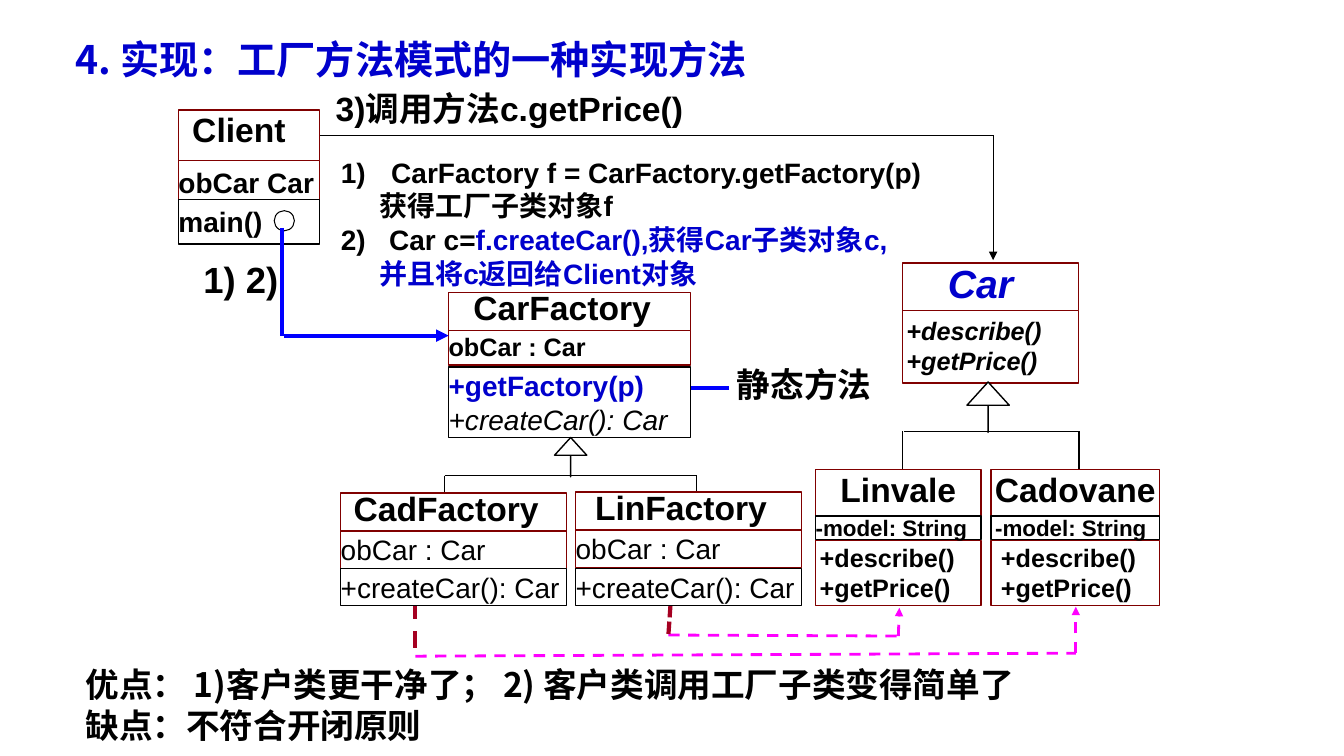
from dataclasses import dataclass, field

from lxml.etree import SubElement
from pptx import Presentation
from pptx.dml.color import RGBColor
from pptx.enum.dml import MSO_LINE
from pptx.enum.shapes import MSO_CONNECTOR, MSO_SHAPE
from pptx.enum.text import MSO_ANCHOR, PP_ALIGN
from pptx.oxml.ns import qn
from pptx.util import Inches, Pt


@dataclass(frozen=True)
class Theme:
    latin: str = "Arial"
    chinese: str = "Noto Sans CJK SC"
    black: str = "000000"
    white: str = "FFFFFF"
    navy: str = "0000CC"
    blue: str = "0000FF"
    maroon: str = "800000"
    crimson: str = "A50021"
    magenta: str = "FF00FF"
    title: int = 28
    step: int = 26
    heading: int = 24
    body: int = 20
    member: int = 18
    small: int = 16


THEME = Theme()


@dataclass(frozen=True)
class Line:
    text: str
    style: dict = field(default_factory=dict)


@dataclass(frozen=True)
class Compartment:
    top: float
    height: float
    lines: list[Line]
    border: str = THEME.maroon
    insets: tuple = (0, 0.01, 0, 0.01)
    middle: bool = False


@dataclass(frozen=True)
class UmlClass:
    left: float
    width: float
    compartments: list[Compartment]


@dataclass(frozen=True)
class Link:
    start: tuple
    end: tuple
    color: str = THEME.black
    weight: float = 1
    dash: MSO_LINE | None = None
    head: str = ""


@dataclass(frozen=True)
class Label:
    area: tuple
    lines: list[Line]
    insets: tuple = (0.1, 0.05, 0.1, 0.05)


def line(text: str, **style) -> Line:
    return Line(text, style)


def heading(text: str, **style) -> Line:
    return line(text, **{"size": THEME.heading, "centered": True, "spacing": 0.85, **style})


def member(text: str, **style) -> Line:
    return line(text, **{"size": THEME.member, **style})


def write(frame, text: str, *, size: float = THEME.body, color: str = THEME.black,
          bold: bool = True, italic: bool = False, font: str = THEME.latin,
          centered: bool = False, spacing: float = 1, margin: float = 0,
          hanging: float = 0, numbered: bool = False, joined: bool = False) -> None:
    para = frame.paragraphs[-1]
    if not joined:
        if para.runs:
            para = frame.add_paragraph()
        para.alignment = PP_ALIGN.CENTER if centered else PP_ALIGN.LEFT
        para.line_spacing = spacing
        properties = para._p.get_or_add_pPr()
        properties.set("marL", str(Inches(margin)))
        properties.set("indent", str(Inches(-hanging)))
        if numbered:
            SubElement(properties, qn("a:buFont"), typeface=THEME.latin)
            SubElement(properties, qn("a:buAutoNum"), type="arabicParenR")
    span = para.add_run()
    span.text = text
    span.font.size = Pt(size)
    span.font.bold = bold
    span.font.italic = italic
    span.font.color.rgb = RGBColor.from_string(color)
    span.font.name = font
    SubElement(span._r.get_or_add_rPr(), qn("a:ea"), typeface=THEME.chinese)


def fill_text(box, lines: list[Line], insets: tuple, middle: bool = False) -> None:
    frame = box.text_frame
    frame.word_wrap = True
    frame.vertical_anchor = MSO_ANCHOR.MIDDLE if middle else MSO_ANCHOR.TOP
    frame.margin_left, frame.margin_top, frame.margin_right, frame.margin_bottom = map(Inches, insets)
    for entry in lines:
        write(frame, entry.text, **entry.style)


def draw_shape(slide, kind: MSO_SHAPE, area: tuple, border: str, weight: float = 1):
    shape = slide.shapes.add_shape(kind, *map(Inches, area))
    shape.shadow.inherit = False
    shape.fill.solid()
    shape.fill.fore_color.rgb = RGBColor.from_string(THEME.white)
    shape.line.color.rgb = RGBColor.from_string(border)
    shape.line.width = Pt(weight)
    return shape


def draw_class(slide, uml: UmlClass) -> None:
    for part in uml.compartments:
        area = (uml.left, part.top, uml.width, part.height)
        box = draw_shape(slide, MSO_SHAPE.RECTANGLE, area, part.border)
        fill_text(box, part.lines, part.insets, part.middle)


def draw_inheritance(slide, area: tuple) -> None:
    arrow = draw_shape(slide, MSO_SHAPE.UP_ARROW, area, THEME.black)
    arrow.adjustments[0] = 0
    arrow.adjustments[1] = 0.55


def draw_link(slide, link: Link) -> None:
    connector = slide.shapes.add_connector(
        MSO_CONNECTOR.STRAIGHT, *map(Inches, link.start + link.end))
    connector.line.color.rgb = RGBColor.from_string(link.color)
    connector.line.width = Pt(link.weight)
    if link.dash:
        connector.line.dash_style = link.dash
    if link.head:
        SubElement(connector.line._get_or_add_ln(), qn("a:tailEnd"), type=link.head)
    SubElement(connector._element.spPr, qn("a:effectLst"))


def draw_label(slide, label: Label) -> None:
    fill_text(slide.shapes.add_textbox(*map(Inches, label.area)), label.lines, label.insets)


def factory(name: str, left: float, top: float) -> UmlClass:
    return UmlClass(left, 2.24, [
        Compartment(top, 0.38, [heading(name)], insets=(0, 0.01, 0.15, 0.01)),
        Compartment(top + 0.38, 0.37, [line("obCar : Car", bold=False)]),
        Compartment(5.64, 0.37, [line("+createCar(): Car", bold=False)], THEME.black, middle=True),
    ])


def car_model(name: str, left: float, width: float, model_inset: float, inset: float) -> UmlClass:
    return UmlClass(left, width, [
        Compartment(4.66, 0.46, [heading(name)], insets=(0, 0.05, 0, 0.05)),
        Compartment(5.36, 0.65, [member("+describe()"), member("+getPrice()")],
                    insets=(inset, 0.02, 0, 0.02)),
        Compartment(5.12, 0.23, [line("-model: String", size=THEME.small)], THEME.black,
                    (model_inset, 0.05, 0, 0.05), True),
    ])


CLASSES = [
    UmlClass(8.95, 1.75, [
        Compartment(2.61, 0.47, [heading("Car", size=THEME.title, color=THEME.navy, italic=True,
                                         spacing=0.8)], insets=(0.1, 0.05, 0.3, 0.05)),
        Compartment(3.08, 0.72, [member("+describe()", italic=True), member("+getPrice()", italic=True)],
                    insets=(0.04, 0.05, 0.1, 0.05)),
    ]),
    car_model("Linvale", 8.09, 1.64, 0, 0.04),
    car_model("Cadovane", 9.83, 1.67, 0.04, 0.1),
    UmlClass(1.77, 1.4, [
        Compartment(1.09, 0.5, [heading("Client")], insets=(0, 0.05, 0.2, 0.05)),
        Compartment(1.59, 0.39, [line("obCar Car")], insets=(0, 0.05, 0, 0.05)),
        Compartment(1.98, 0.44, [line("main()")], THEME.black, (0, 0.05, 0, 0.05), True),
    ]),
    UmlClass(4.45, 2.4, [
        Compartment(2.9, 0.38, [heading("CarFactory")], insets=(0, 0.01, 0.15, 0.01)),
        Compartment(3.28, 0.34, [member("obCar : Car")]),
        Compartment(3.64, 0.7, [line("+getFactory(p)", color=THEME.navy),
                                line("+createCar(): Car", bold=False, italic=True)],
                    THEME.black, middle=True),
    ]),
    factory("CadFactory", 3.38, 4.89),
    factory("LinFactory", 5.71, 4.88),
]

LINKS_BEHIND = [
    Link((8.97, 4.28), (10.71, 4.28)),
    *(Link((x, 4.28), (x, 4.66)) for x in (8.95, 10.7)),
    Link((4.41, 4.72), (6.91, 4.72)),
    *(Link((x, 4.72), (x, 5.1)) for x in (4.41, 6.91)),
    Link((10.67, 6.48), (10.67, 6.02), THEME.magenta, 2, MSO_LINE.DASH, "triangle"),
    Link((4.12, 6.51), (10.67, 6.48), THEME.magenta, 2, MSO_LINE.DASH),
    Link((4.12, 5.68), (4.12, 6.53), THEME.crimson, 3, MSO_LINE.DASH),
    Link((8.91, 6.31), (8.92, 6.03), THEME.magenta, 2, MSO_LINE.DASH, "triangle"),
    Link((6.63, 6.3), (8.92, 6.31), THEME.magenta, 2, MSO_LINE.DASH),
    Link((6.65, 6), (6.63, 6.29), THEME.crimson, 3, MSO_LINE.SQUARE_DOT),
    Link((7.23, 3.85), (6.62, 3.85), THEME.blue, 3, head="arrow"),
    Link((3.17, 1.34), (9.86, 1.34), weight=0.75),
    Link((9.85, 1.34), (9.85, 2.58), weight=0.75, head="triangle"),
]

LINKS_FRONT = [
    Link((2.82, 3.33), (4.45, 3.33), THEME.blue, 3, head="triangle"),
    Link((2.8, 2.26), (2.8, 3.33), THEME.blue, 3),
]

CHINESE_HEADING = {"size": THEME.heading, "font": THEME.chinese}

LABELS = [
    Label((0.65, 0.3, 7.61, 0.57), [line("4. 实现：工厂方法模式的一种实现方法", size=THEME.title,
                                         font=THEME.chinese, color=THEME.navy, margin=0.38, hanging=0.38)]),
    Label((3.33, 0.92, 3.75, 0.36), [line("3)调用方法c.getPrice()", size=THEME.heading, spacing=0.9)],
          (0, 0, 0, 0)),
    Label((3.38, 1.54, 6.21, 1.35), [
        line("CarFactory f = CarFactory.getFactory(p)", margin=0.5, hanging=0.5, numbered=True),
        line("获得工厂子类对象f", margin=0.38),
        line("2)\tCar c=", margin=0.48, hanging=0.48),
        line("f.createCar(),获得Car子类对象c,", color=THEME.navy, joined=True),
        line("并且将c返回给Client对象", color=THEME.navy, margin=0.38),
    ], (0, 0, 0, 0)),
    Label((1.92, 2.5, 1, 0.54), [line("1) 2)", size=THEME.step)]),
    Label((7.21, 3.56, 1.54, 0.5), [line("静态方法", **CHINESE_HEADING)], (0.1, 0.05, 0, 0.05)),
    Label((0.75, 6.54, 10.5, 0.91), [
        line("优点： 1)客户类更干净了； 2) 客户类调用工厂子类变得简单了", **CHINESE_HEADING),
        line("缺点：不符合开闭原则", **CHINESE_HEADING),
    ]),
]


def main() -> None:
    deck = Presentation()
    deck.slide_width, deck.slide_height = Inches(13.33), Inches(7.5)
    slide = deck.slides.add_slide(deck.slide_layouts[6])
    for link in LINKS_BEHIND:
        draw_link(slide, link)
    for uml in CLASSES:
        draw_class(slide, uml)
    for area in ((9.59, 3.79, 0.42, 0.5), (5.5, 4.34, 0.32, 0.39)):
        draw_inheritance(slide, area)
    draw_shape(slide, MSO_SHAPE.OVAL, (2.72, 2.09, 0.2, 0.2), THEME.black, 0.75)
    for link in LINKS_FRONT:
        draw_link(slide, link)
    for label in LABELS:
        draw_label(slide, label)
    deck.save("out.pptx")


if __name__ == "__main__":
    main()
